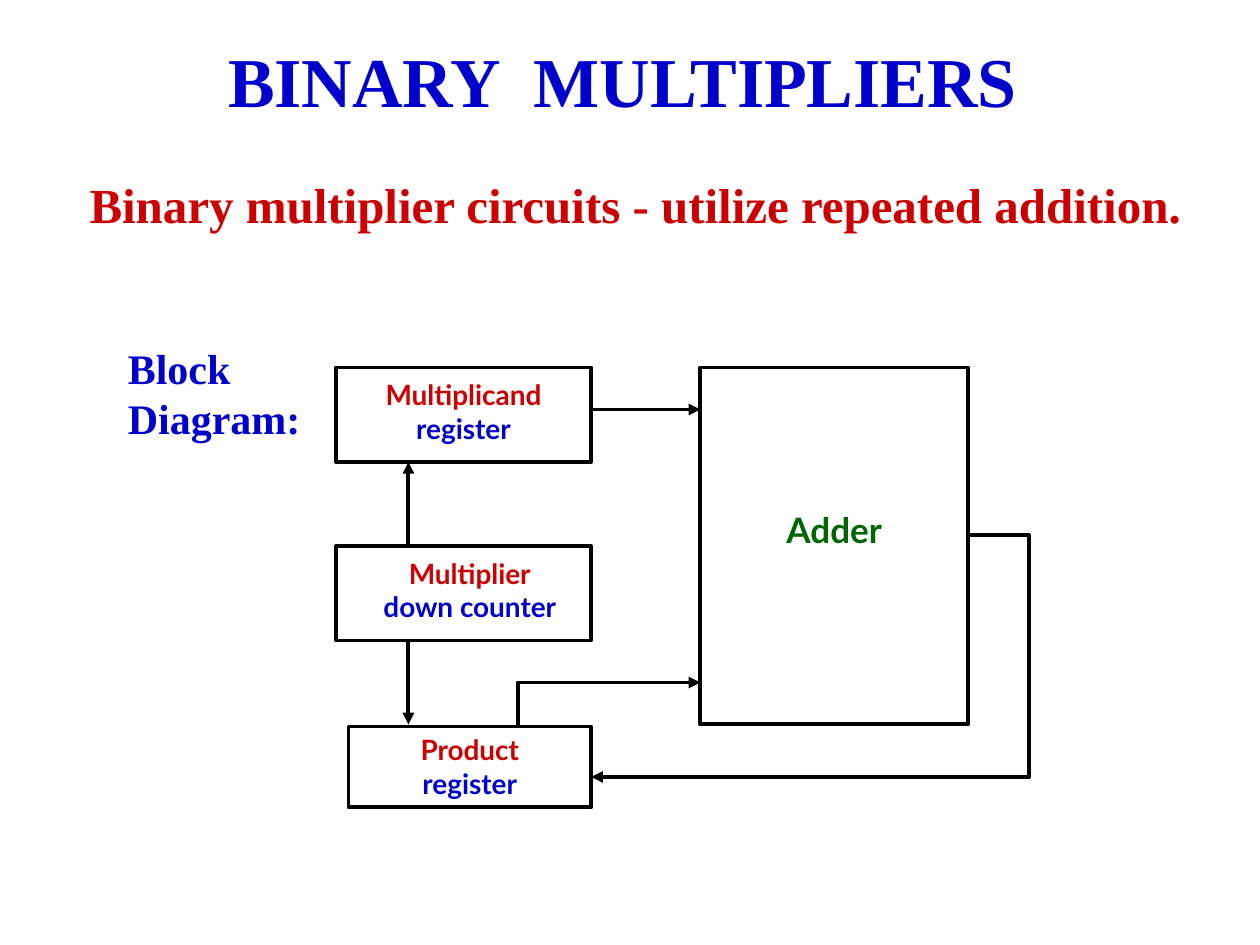
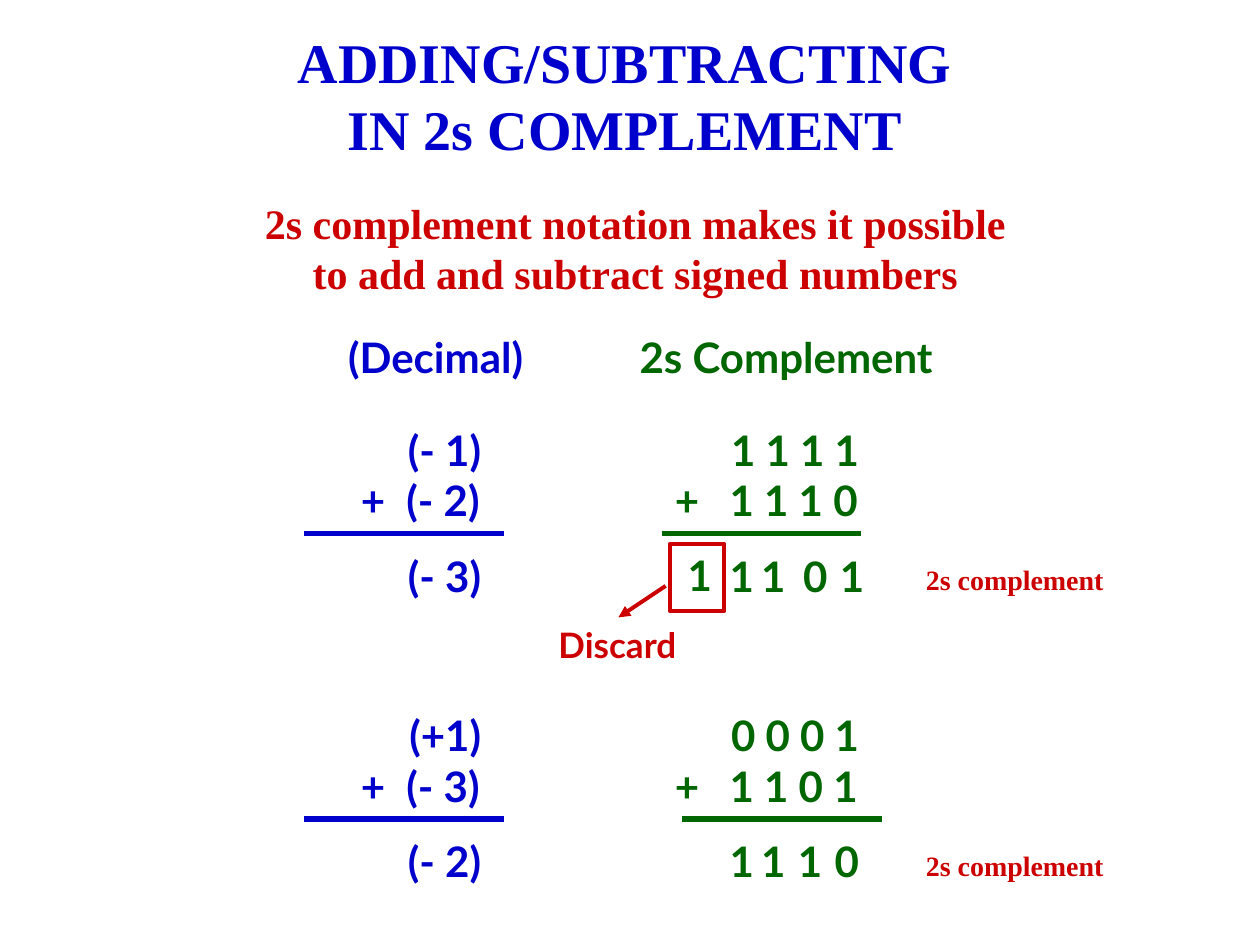
from lxml import etree
from pptx import Presentation
from pptx.dml.color import RGBColor
from pptx.enum.shapes import MSO_CONNECTOR, MSO_SHAPE
from pptx.enum.text import MSO_ANCHOR, MSO_AUTO_SIZE, PP_ALIGN
from pptx.oxml.ns import qn
from pptx.util import Inches, Pt

LEFT, CENTER, RIGHT = PP_ALIGN.LEFT, PP_ALIGN.CENTER, PP_ALIGN.RIGHT
TOP, GROW = MSO_ANCHOR.TOP, MSO_AUTO_SIZE.SHAPE_TO_FIT_TEXT
RECTANGLE, STRAIGHT = MSO_SHAPE.RECTANGLE, MSO_CONNECTOR.STRAIGHT

BLUE, RED, GREEN, BLACK = "0000CC", "CC0000", "006600", "000000"
SERIF, SANS = "Times New Roman", "Lato"
COLUMNS, ROWS = 120, 90


def rgb(value):
    return RGBColor.from_string(value)


class Deck:
    """Draws styled elements on the current slide, on a grid of 120 columns by 90 rows."""

    def __init__(self):
        self.deck = Presentation()
        self.deck.slide_width, self.deck.slide_height = Inches(10), Inches(7.5)
        self.shapes = None

    def new_slide(self):
        self.shapes = self.deck.slides.add_slide(self.deck.slide_layouts[6]).shapes

    def x(self, columns):
        return round(self.deck.slide_width * columns / COLUMNS)

    def y(self, rows):
        return round(self.deck.slide_height * rows / ROWS)

    def area(self, left, top, width, height):
        return self.x(left), self.y(top), self.x(width), self.y(height)

    def set_lines(self, frame, lines, size, font, align, before=0, after=0, tabs=()):
        frame.word_wrap, frame.auto_size, frame.vertical_anchor = True, GROW, TOP
        for index, (words, color) in enumerate(lines):
            line = frame.add_paragraph() if index else frame.paragraphs[0]
            tabbed = words.startswith("\t")
            line.alignment = LEFT if tabbed else align
            line.space_before, line.space_after = Pt(before), Pt(after)
            if tabbed:
                stops = etree.SubElement(line._p.get_or_add_pPr(), qn("a:tabLst"))
                for column, side in tabs:
                    etree.SubElement(stops, qn("a:tab"), pos=str(self.x(column)), algn=side)
            run = line.add_run()
            run.text = words
            run.font.name, run.font.size, run.font.bold = font, Pt(size), True
            run.font.color.rgb = rgb(color)

    def text(self, area, lines, size=24, font=SANS, align=CENTER, **spacing):
        frame = self.shapes.add_textbox(*self.area(*area)).text_frame
        self.set_lines(frame, lines, size, font, align, **spacing)

    def title(self, area, words, size):
        self.text(area, [(words, BLUE)], size, SERIF)

    def outline(self, shape, color):
        shape.shadow.inherit = False
        shape.fill.background()
        self.stroke(shape, color, 2.25)

    def stroke(self, shape, color, weight, arrow=False):
        shape.line.color.rgb, shape.line.width = rgb(color), Pt(weight)
        if arrow:
            outline = shape._element.spPr.find(qn("a:ln"))
            etree.SubElement(outline, qn("a:tailEnd"), type="triangle")

    def block(self, area, color=BLACK, lines=()):
        block = self.shapes.add_shape(RECTANGLE, *self.area(*area))
        self.outline(block, color)
        if lines:
            self.set_lines(block.text_frame, lines, 16, SANS, CENTER)

    def line(self, start, end, color=BLACK, weight=2.25, arrow=False):
        line = self.shapes.add_connector(
            STRAIGHT, self.x(start[0]), self.y(start[1]), self.x(end[0]), self.y(end[1]))
        self.stroke(line, color, weight, arrow)
        etree.SubElement(line._element.spPr, qn("a:effectLst"))

    def route(self, *corners):
        start, *rest = [(self.x(column), self.y(row)) for column, row in corners]
        builder = self.shapes.build_freeform(*start, scale=1.0)
        builder.add_line_segments(rest, close=False)
        route = builder.convert_to_shape()
        self.outline(route, BLACK)
        self.stroke(route, BLACK, 2.25, arrow=True)

    def column_sum(self, left, top, operands, color, plus, rule):
        first, second = operands
        self.text((left, top, 24, 10.8), [(first, color), (f"\t+\t{second}", color)],
                  align=RIGHT, tabs=((plus, "l"), (21.5, "r")))
        self.line((rule, top + 11), (rule + 19, top + 11), color, 3)

    def digit(self, left, top, digit):
        self.text((left, top, 5, 6), [(digit, GREEN)], align=RIGHT)


def multiplier_slide(deck):
    deck.new_slide()
    deck.text((6, 16, 109, 6.8), [("Binary multiplier circuits - utilize repeated addition.", RED)],
              28, SERIF, after=19.2)
    deck.title((20, 3, 78.6, 9.2), "BINARY  MULTIPLIERS", 40)
    deck.text((11, 32, 19, 10.8), [("Block Diagram:", BLUE)], font=SERIF, align=LEFT)

    registers_right, adder_left, adder_right = 56.3, 66.7, 92.2
    for top in (35, 52):
        deck.block((32, top, 24.3, 9))
    deck.block((adder_left, 35, adder_right - adder_left, 34))
    deck.text((34.3, 35.4, 19.7, 7.7), [("Multiplicand", RED), ("register", BLUE)], 16)
    deck.text((33.2, 52.4, 23.1, 7.7), [("Multiplier", RED), ("down counter", BLUE)], 16)
    deck.block((33.2, 69.2, 23.1, 7.7), lines=[("Product", RED), ("register", BLUE)])
    deck.text((67.9, 47.8, 23.1, 5.3), [("Adder", GREEN)], 20)

    deck.line((registers_right, 39), (adder_left, 39), arrow=True)
    for start, end in ((52, 44), (61, 69)):
        deck.line((38.9, start), (38.9, end), arrow=True)
    deck.route((49.3, 69), (49.3, 65), (adder_left, 65))
    deck.route((adder_right, 51), (98, 51), (98, 74), (registers_right, 74))


def complement_slide(deck):
    deck.new_slide()
    deck.text((23, 18.2, 75, 10.8),
              [("2s complement notation makes it possible to add and subtract signed numbers", RED)],
              font=SERIF)
    deck.title((25, 2, 69, 14), "ADDING/SUBTRACTING IN 2s COMPLEMENT", 32)
    deck.text((27, 31, 24, 6), [("(Decimal)", BLUE)], align=RIGHT)
    deck.text((57, 31, 33, 10.8), [("2s Complement", GREEN)], align=RIGHT)

    examples = [
        (39.8, ("(- 1)", "(- 2)"), "(- 3)", ("1 1 1 1", "1 1 1 0"), 63,
         zip((68, 71, 75, 78.5), "1101")),
        (67, ("(+1)", "(- 3)"), "(- 2)", ("0 0 0 1", "1 1 0 1"), 65,
         zip((68, 71, 74.5, 78), "1110")),
    ]
    for top, decimals, total, binaries, rule, digits in examples:
        answer = top + 12
        deck.column_sum(23, top, decimals, BLUE, 10.2, 29)
        deck.text((23, answer, 24, 6), [(total, BLUE)], align=RIGHT)
        deck.column_sum(59, top, binaries, GREEN, 4.1, rule)
        for left, digit in digits:
            deck.digit(left, answer, digit)
        deck.text((87, top + 13.2, 26.8, 4.4), [("2s complement", RED)], 16, SERIF, LEFT, before=10)

    deck.digit(64, 51.7, "1")
    deck.text((50, 58.8, 15.6, 5.3), [("Discard", RED)], 20, align=RIGHT)
    deck.line((63.4, 55.8), (58.9, 58.8), RED, arrow=True)
    deck.block((63.8, 51.8, 5.2, 6.4), RED)


def main():
    deck = Deck()
    multiplier_slide(deck)
    complement_slide(deck)
    deck.deck.save("out.pptx")


if __name__ == "__main__":
    main()
